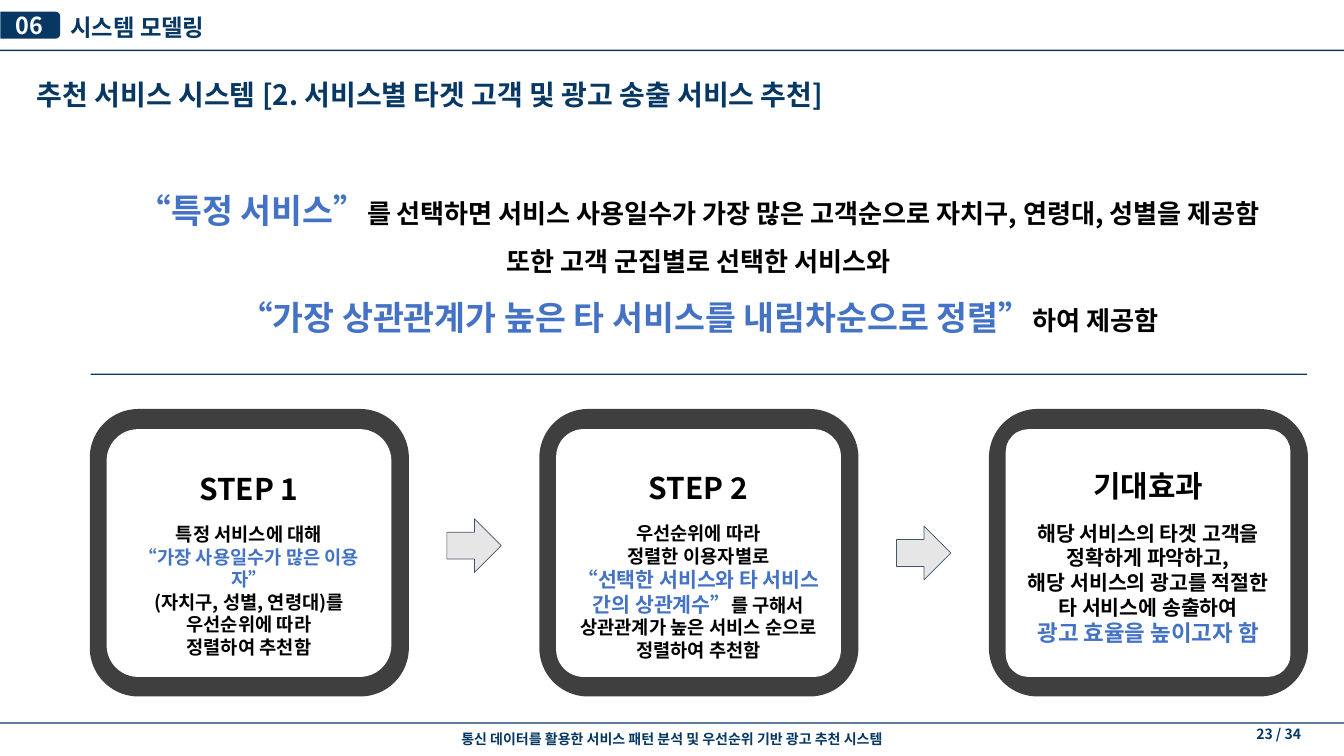
from lxml.etree import SubElement
from pptx import Presentation
from pptx.dml.color import RGBColor
from pptx.enum.shapes import MSO_SHAPE as Shape
from pptx.enum.text import MSO_ANCHOR as Anchor, PP_ALIGN as Align
from pptx.oxml.ns import qn
from pptx.util import Inches, Pt

# Content: each paragraph is a list of (text, size, colour) runs
FONT = "Noto Sans CJK KR"
NAVY, BLUE, BLACK, WHITE = "073763", "4472C4", "000000", "FFFFFF"
DARK, GREY, SLATE = "3F3F3F", "E7E6E6", "44546A"

SECTION_NO, SECTION = "06", "시스템 모델링"
TITLE = "추천 서비스 시스템 [2. 서비스별 타겟 고객 및 광고 송출 서비스 추천]"
FOOTER = "통신 데이터를 활용한 서비스 패턴 분석 및 우선순위 기반 광고 추천 시스템"
PAGE = "23 / 34"
SUMMARY = [
    [("“특정 서비스”", 36, BLUE),
     ("를 선택하면 서비스 사용일수가 가장 많은 고객순으로 자치구, 연령대, 성별을 제공함", 28, BLACK)],
    [("또한 고객 군집별로 선택한 서비스와", 28, BLACK)],
    [("“가장 상관관계가 높은 타 서비스를 내림차순으로 정렬”", 36, BLUE),
     ("하여 제공함", 28, BLACK)],
]
# Heading, corner radius of the inner panel, body paragraphs
CARDS = [
    ("STEP 1", 0.125, [
        [("특정 서비스에 대해", 20, BLACK)],
        [("“가장 사용일수가 많은 이용자”", 20, BLUE)],
        [("(자치구, 성별, 연령대)를", 20, BLACK)],
        [("우선순위에 따라", 20, BLACK)],
        [("정렬하여 추천함", 20, BLACK)]]),
    ("STEP 2", 0.108, [
        [("우선순위에 따라", 20, BLACK)],
        [("정렬한 이용자별로", 20, BLACK)],
        [("“선택한 서비스와 타 서비스 간의 상관계수”", 22, BLUE), ("를 구해서", 20, BLACK)],
        [("상관관계가 높은 서비스 순으로 정렬하여 추천함", 20, BLACK)]]),
    ("기대효과", 0.089, [
        [("해당 서비스의 타겟 고객을", 22, BLACK)],
        [("정확하게 파악하고,", 22, BLACK)],
        [("해당 서비스의 광고를 적절한 타 서비스에 송출하여", 22, BLACK)],
        [("광고 효율을 높이고자 함", 24, BLUE)]]),
]
ARROW_TOPS = [7.72, 7.83]

# Layout in inches
SLIDE_W, SLIDE_H = 20, 11.25
RULE_H = 0.02
CARD_LEFT, CARD_TOP, CARD_W, CARD_H = 1.35, 6.1, 4.72, 4.25
PANEL_DX, PANEL_DY, PANEL_W, PANEL_H = 0.25, 0.3, 4.21, 3.66
CARD_PITCH = 6.69
ARROW_DX, ARROW_W, ARROW_H = 5.3, 0.81, 0.8
HEADING_DROP, BODY_GAP = 0.47, 18


def rgb(value):
    return RGBColor.from_string(value)


def add_shape(kind, box, fill, line=None, line_width=2, adjust=()):
    shape = slide.shapes.add_shape(kind, *map(Inches, box))
    shape.shadow.inherit = False
    shape.fill.solid()
    shape.fill.fore_color.rgb = rgb(fill)
    if line:
        shape.line.color.rgb = rgb(line)
        shape.line.width = Pt(line_width)
    else:
        shape.line.fill.background()
    for index, value in enumerate(adjust):
        shape.adjustments[index] = value
    return shape


def write(frame, paragraphs, align, spacing=1.0, insets=(0, 0, 0, 0), anchor=Anchor.TOP):
    frame.word_wrap = True
    frame.vertical_anchor = anchor
    frame.margin_left, frame.margin_top, frame.margin_right, frame.margin_bottom = map(Inches, insets)
    for index, runs in enumerate(paragraphs):
        paragraph = frame.add_paragraph() if index else frame.paragraphs[0]
        paragraph.alignment = align
        paragraph.line_spacing = spacing
        for text, size, colour in runs:
            run = paragraph.add_run()
            run.text = text
            run.font.size, run.font.bold, run.font.name = Pt(size), True, FONT
            run.font.color.rgb = rgb(colour)
            SubElement(run.font._element, qn("a:ea"), typeface=FONT)


def add_text(box, paragraphs, align, **layout):
    write(slide.shapes.add_textbox(*map(Inches, box)).text_frame, paragraphs, align, **layout)


prs = Presentation()
prs.slide_width, prs.slide_height = Inches(SLIDE_W), Inches(SLIDE_H)
slide = prs.slides.add_slide(prs.slide_layouts[6])
PADDING = (0.1, 0.05, 0.1, 0.05)

# Horizontal rules: footer, header, above the cards
span = 2 * CARD_PITCH + CARD_W
for left, top, width in [(0, 10.75, SLIDE_W), (0, 0.74, SLIDE_W), (CARD_LEFT, 5.56, span)]:
    add_shape(Shape.RECTANGLE, (left, top, width, RULE_H), NAVY)

# Footer
add_text((5.01, 10.75, 9.98, 0.39), [[(FOOTER, 15, NAVY)]], Align.CENTER, spacing=1.26, insets=PADDING)
add_text((9.48, 10.75, 9.98, 0.35), [[(PAGE, 15, NAVY)]], Align.RIGHT, insets=PADDING)

# Header: section tag, section name and title
tag = add_shape(Shape.ROUND_2_SAME_RECTANGLE, (0.25, -0.07, 0.4, 0.89), NAVY, adjust=(0.167, 0))
tag.rotation = 90
add_text((0, 0.19, 0.87, 0.36), [[(SECTION_NO, 25, WHITE)]], Align.CENTER,
         insets=PADDING, anchor=Anchor.MIDDLE)
add_text((1.05, 0.12, 6.08, 0.5), [[(SECTION, 25, NAVY)]], Align.LEFT, spacing=1.2)
add_text((0.55, 1.06, 13.43, 0.61), [[(TITLE, 30, NAVY)]], Align.LEFT, spacing=1.2)

# Summary
add_text((1.49, 2.52, 17.81, 2.52), SUMMARY, Align.CENTER, spacing=1.5)

# Cards: dark frame with a white panel holding heading and body
for column, (heading, radius, body) in enumerate(CARDS):
    left = CARD_LEFT + column * CARD_PITCH
    add_shape(Shape.ROUNDED_RECTANGLE, (left, CARD_TOP, CARD_W, CARD_H), DARK, DARK, adjust=[0.167])
    panel = add_shape(Shape.ROUNDED_RECTANGLE,
                      (left + PANEL_DX, CARD_TOP + PANEL_DY, PANEL_W, PANEL_H),
                      WHITE, WHITE, adjust=[radius])
    write(panel.text_frame, [[(heading, 32, BLACK)]] + body, Align.CENTER,
          insets=(0.1, HEADING_DROP, 0.1, 0.05))
    panel.text_frame.paragraphs[1].space_before = Pt(BODY_GAP)

# Arrows between the cards
for column, top in enumerate(ARROW_TOPS):
    left = CARD_LEFT + ARROW_DX + column * CARD_PITCH
    add_shape(Shape.RIGHT_ARROW, (left, top, ARROW_W, ARROW_H), GREY, SLATE, 0.75)

prs.save("out.pptx")
